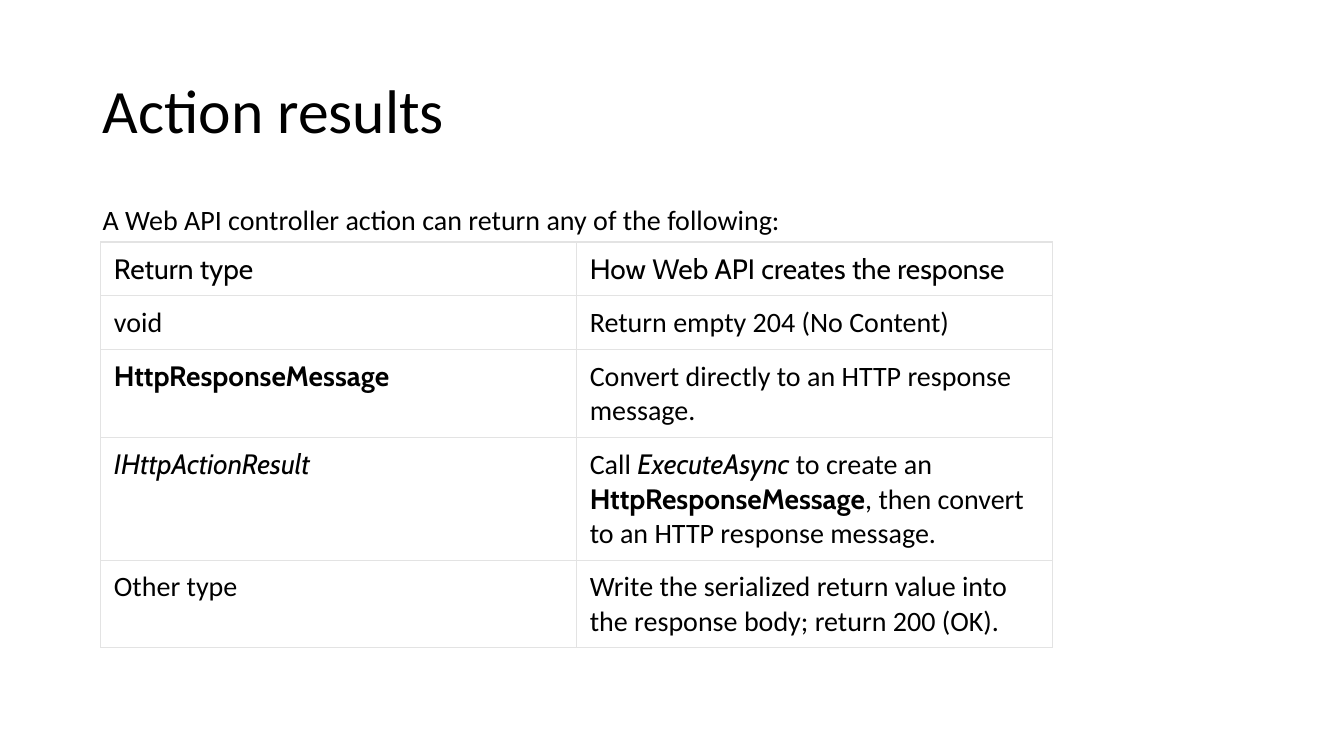
import pptx
import pptx.dml.color
import pptx.enum.text
import pptx.oxml
import pptx.oxml.ns
import pptx.util
from pptx.util import Inches

BLACK = pptx.dml.color.RGBColor(0x00, 0x00, 0x00)
WHITE = pptx.dml.color.RGBColor(0xFF, 0xFF, 0xFF)
BORDER_GREY = pptx.dml.color.RGBColor(0xE3, 0xE3, 0xE3)

PLAIN = ("Calibri", False, False)
HEADING = ("Cabin", False, False)
BOLD = ("Cabin", True, False)
ITALIC = ("Cabin", False, True)

ROWS = [
    (0.53, [("Return type", HEADING)], [("How Web API creates the response", HEADING)]),
    (0.53, [("void", PLAIN)], [("Return empty 204 (No Content)", PLAIN)]),
    (0.87, [("HttpResponseMessage", BOLD)],
     [("Convert directly to an HTTP response message.", PLAIN)]),
    (1.22, [("IHttpActionResult", ITALIC)],
     [("Call ", PLAIN), ("ExecuteAsync", ITALIC), (" to create an ", PLAIN),
      ("HttpResponseMessage", BOLD), (", then convert to an HTTP response message.", PLAIN)]),
    (0.87, [("Other type", PLAIN)],
     [("Write the serialized return value into the response body; return 200 (OK).", PLAIN)]),
]


def format_run(run, size, style):
    name, bold, italic = style
    run.font.name = name
    run.font.size = pptx.util.Pt(size)
    run.font.bold = bold
    run.font.italic = italic
    run.font.color.rgb = BLACK


def add_text(slide, text, top, height, size, anchor, space_before=0):
    shape = slide.shapes.add_textbox(Inches(0.92), Inches(top), Inches(11.5), Inches(height))
    text_frame = shape.text_frame
    text_frame.word_wrap = True
    text_frame.vertical_anchor = anchor
    text_frame.text = text
    paragraph = text_frame.paragraphs[0]
    paragraph.line_spacing = 0.9
    paragraph.space_before = pptx.util.Pt(space_before)
    format_run(paragraph.runs[0], size, PLAIN)


def add_borders(cell, widths):
    properties = cell._tc.get_or_add_tcPr()
    namespace = pptx.oxml.ns.nsdecls("a")
    for position, (side, width) in enumerate(widths.items()):
        line = pptx.oxml.parse_xml(
            f'<a:{side} {namespace} w="{pptx.util.Pt(width)}"><a:solidFill>'
            f'<a:srgbClr val="{BORDER_GREY}"/></a:solidFill></a:{side}>')
        properties.insert(position, line)


def fill_cell(cell, pieces, anchor):
    cell.margin_left = cell.margin_right = Inches(0.13)
    cell.margin_top = cell.margin_bottom = Inches(0.1)
    cell.vertical_anchor = anchor
    cell.fill.solid()
    cell.fill.fore_color.rgb = WHITE
    paragraph = cell.text_frame.paragraphs[0]
    for text, style in pieces:
        run = paragraph.add_run()
        run.text = text
        format_run(run, 20, style)


def add_results_table(slide):
    height = sum(row[0] for row in ROWS)
    table = slide.shapes.add_table(
        len(ROWS), 2, Inches(1), Inches(2.4), Inches(9.44), Inches(height)).table
    table.first_row = False
    table.horz_banding = False
    last = len(ROWS) - 1
    for index, (row_height, *cells) in enumerate(ROWS):
        table.rows[index].height = Inches(row_height)
        anchor = pptx.enum.text.MSO_ANCHOR.TOP if index else pptx.enum.text.MSO_ANCHOR.BOTTOM
        widths = {"lnL": 1, "lnR": 1,
                  "lnT": 1 if index == 0 else 0.6, "lnB": 1 if index == last else 0.6}
        for column, pieces in enumerate(cells):
            cell = table.cell(index, column)
            fill_cell(cell, pieces, anchor)
            add_borders(cell, widths)


def main():
    presentation = pptx.Presentation()
    presentation.slide_width = Inches(13.33)
    presentation.slide_height = Inches(7.5)
    slide = presentation.slides.add_slide(presentation.slide_layouts[6])
    add_text(slide, "Action results", 0.4, 1.45, 44, pptx.enum.text.MSO_ANCHOR.MIDDLE)
    add_text(slide, "A Web API controller action can return any of the following:",
             2, 4.76, 20, pptx.enum.text.MSO_ANCHOR.TOP, space_before=10)
    add_results_table(slide)
    presentation.save("out.pptx")


if __name__ == "__main__":
    main()
